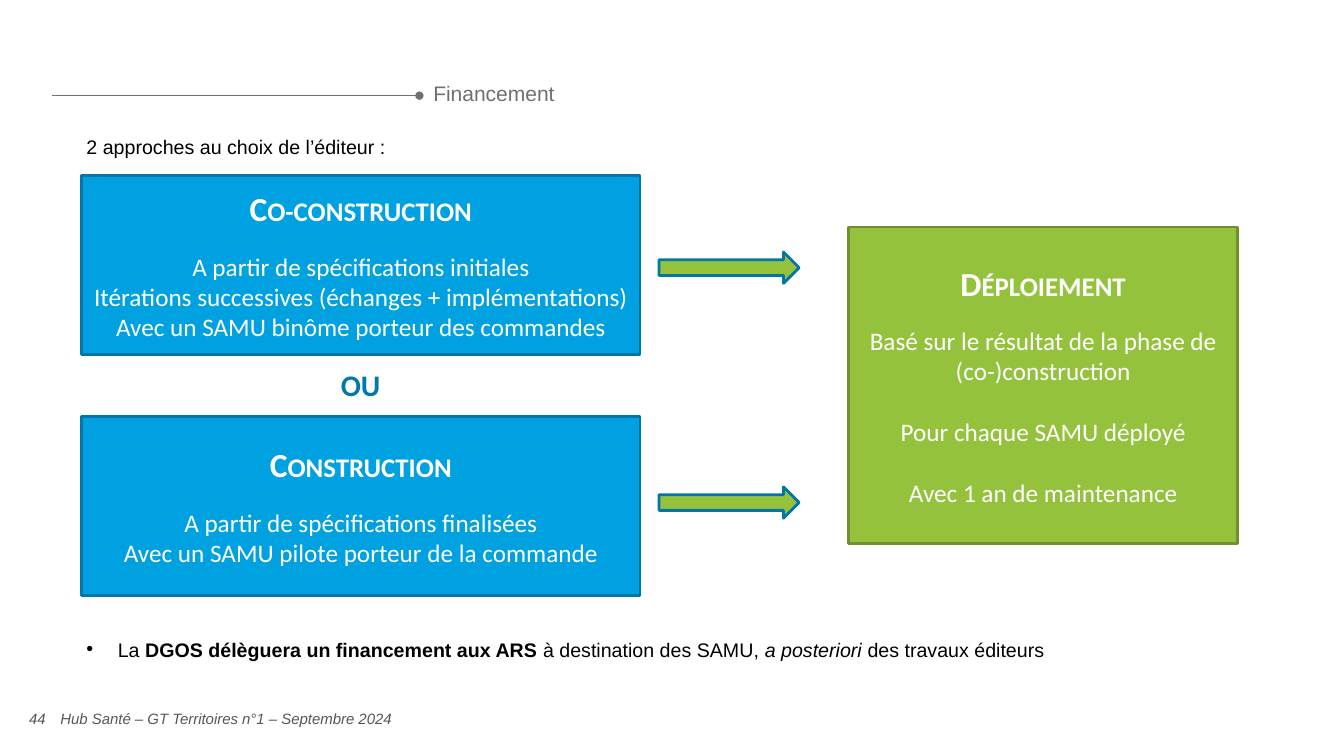
from lxml import etree
from pptx import Presentation
from pptx.dml.color import RGBColor
from pptx.enum import shapes as kinds, text as modes
from pptx.oxml import ns
from pptx.util import Cm, Pt

HUES = {
    "blue": "00A1E0", "navy": "0077A6", "teal": "0079A8",
    "green": "95C23D", "olive": "6E902D", "gray": "6F7072",
    "dark": "575757", "black": "000000", "white": "FFFFFF",
}
FORMS = {
    "title": {"name": "Arial", "size": Pt(15)},
    "body": {"name": "Arial", "size": Pt(14)},
    "bold": {"name": "Arial", "size": Pt(14), "bold": True},
    "slant": {"name": "Arial", "size": Pt(14), "italic": True},
    "foot": {"name": "Arial", "size": Pt(10.7), "italic": True},
    "head": {"name": "Calibri", "size": Pt(24), "bold": True},
    "item": {"name": "Calibri", "size": Pt(18)},
    "or": {"name": "Calibri", "size": Pt(21.3), "bold": True},
}
MID = modes.PP_ALIGN.CENTER


def hue(key):
    return RGBColor.from_string(HUES[key])


def add_tag(root, tag, **attrs):
    return etree.SubElement(root, ns.qn(tag), attrs)


def write(para, words, form, tint):
    run = para.add_run()
    run.text = words
    for key, val in FORMS[form].items():
        setattr(run.font, key, val)
    run.font.color.rgb = hue(tint)
    return run


def add_text(slide, box, parts, tint, align=None, gap=None, flush=False):
    """Place a one-paragraph text box; parts are (words, form) pairs."""
    frame = slide.shapes.add_textbox(*map(Cm, box)).text_frame
    frame.word_wrap = True
    if flush:
        frame.vertical_anchor = modes.MSO_ANCHOR.MIDDLE
        for side in ("left", "top", "right", "bottom"):
            setattr(frame, "margin_" + side, 0)
    para = frame.paragraphs[0]
    para.alignment = align
    if gap:
        para.line_spacing = gap
    for words, form in parts:
        write(para, words, form, tint)
    return para


def add_block(slide, kind, box, fill, edge):
    shape = slide.shapes.add_shape(kind, *map(Cm, box))
    shape.shadow.inherit = False
    shape.fill.solid()
    shape.fill.fore_color.rgb = hue(fill)
    shape.line.color.rgb = hue(edge)
    shape.line.width = Pt(2)
    return shape


def add_panel(slide, box, fill, edge, head, items, gap=0):
    """Draw a filled box with a small-caps heading and lines gap points apart."""
    shape = add_block(slide, kinds.MSO_SHAPE.RECTANGLE, box, fill, edge)
    frame = shape.text_frame
    frame.word_wrap = True
    frame.vertical_anchor = modes.MSO_ANCHOR.MIDDLE
    para = frame.paragraphs[0]
    para.alignment = MID
    run = write(para, head, "head", "white")
    run.font._element.set("cap", "small")
    for num, item in enumerate(items):
        para = frame.add_paragraph()
        para.alignment = MID
        para.space_before = Pt(gap if num else 16)
        write(para, item, "item", "white")


def add_title(slide, left, mid):
    end = left + 9.25
    line = slide.shapes.add_connector(
        kinds.MSO_CONNECTOR.STRAIGHT, Cm(left), Cm(mid), Cm(end), Cm(mid))
    line.line.color.rgb = hue("gray")
    line.line.width = Pt(0.5)
    add_tag(line.line._get_or_add_ln(), "a:tailEnd", type="oval")
    add_tag(line._element.spPr, "a:effectLst")
    add_text(slide, (end + 0.1, mid - 0.43, 19.61, 0.84),
             [("Financement", "title")], "gray", gap=0.9)


def add_paths(slide, left, top):
    """Place both approaches, the word between them and their arrows."""
    wide, high, step = 14.07, 4.51, 6.07
    paths = [
        ("Co-construction", 1.93, [
            "A partir de spécifications initiales",
            "Itérations successives (échanges + implémentations)",
            "Avec un SAMU binôme porteur des commandes"]),
        ("Construction", 1.78, [
            "A partir de spécifications finalisées",
            "Avec un SAMU pilote porteur de la commande"]),
    ]
    for num, (head, drop, items) in enumerate(paths):
        y = top + num * step
        add_panel(slide, (left, y, wide, high), "blue", "navy", head, items)
        add_block(slide, kinds.MSO_SHAPE.RIGHT_ARROW,
                  (left + wide + 0.48, y + drop, 3.53, 0.79), "green", "navy")
    add_text(slide, (left + wide / 2 - 1.06, top + 4.7, 2.11, 1.17),
             [("OU", "or")], "teal", MID)


def add_note(slide, box):
    para = add_text(slide, box, [
        ("La ", "body"),
        ("DGOS délèguera un financement aux ARS ", "bold"),
        ("à destination des SAMU, ", "body"),
        ("a posteriori ", "slant"),
        ("des travaux éditeurs", "body")], "black", gap=1.15)
    props = para._p.get_or_add_pPr()
    props.set("marL", str(Cm(0.79)))
    props.set("indent", str(-Cm(0.79)))
    tint = add_tag(props, "a:buClr")
    add_tag(tint, "a:srgbClr", val=HUES["black"])
    add_tag(props, "a:buFont", typeface="Arial")
    add_tag(props, "a:buChar", char="•")


def add_foot(slide, top):
    add_text(slide, (0.41, top, 1.07, 1.02), [("44", "foot")],
             "dark", MID, flush=True)
    add_text(slide, (1.52, top, 25.65, 1.02),
             [("Hub Santé – GT Territoires n°1 – Septembre 2024", "foot")],
             "dark", flush=True)


def main():
    deck = Presentation()
    deck.slide_width, deck.slide_height = Cm(33.87), Cm(19.05)
    slide = deck.slides.add_slide(deck.slide_layouts[6])
    add_title(slide, 1.32, 2.41)
    add_text(slide, (1.93, 3.18, 18.19, 0.89),
             [("2 approches au choix de l’éditeur :", "body")],
             "black", gap=1.15)
    add_paths(slide, 2.06, 4.42)
    add_panel(slide, (21.39, 5.72, 9.8, 7.98), "green", "olive",
              "Déploiement", [
                  "Basé sur le résultat de la phase de (co-)construction",
                  "Pour chaque SAMU déployé",
                  "Avec 1 an de maintenance"], gap=22)
    add_note(slide, (1.93, 15.85, 29.54, 0.89))
    add_foot(slide, 17.6)
    deck.save("out.pptx")


if __name__ == "__main__":
    main()
